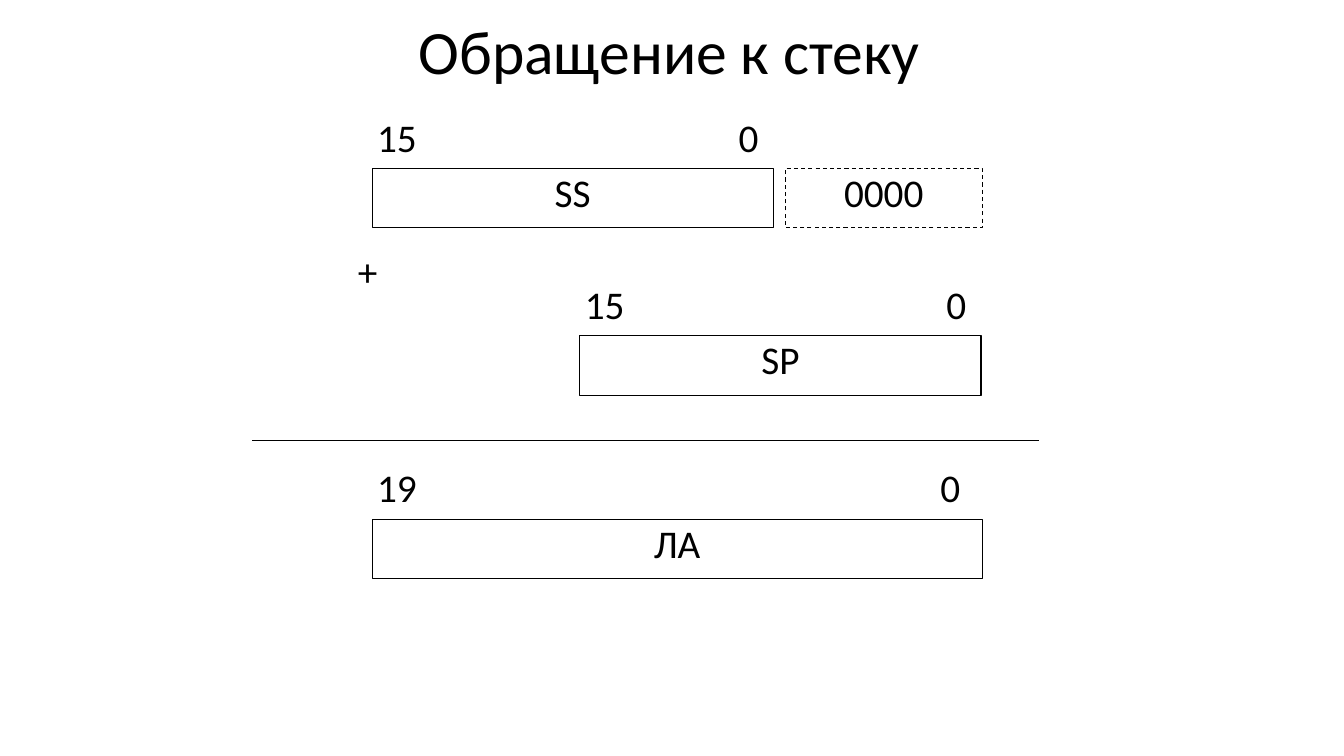
from pptx import Presentation
from pptx.dml.color import RGBColor
from pptx.enum.dml import MSO_LINE_DASH_STYLE as Dash
from pptx.enum.shapes import MSO_CONNECTOR as Connector, MSO_SHAPE as Shape
from pptx.enum.text import MSO_ANCHOR as Anchor, PP_ALIGN as Align
from pptx.oxml.ns import qn
from pptx.util import Inches, Pt

COLORS = {name: RGBColor.from_string(value) for name, value in {
    "ink": "000000",
    "paper": "FFFFFF",
}.items()}


def style_text(para, text, size, align):
    para.text = text
    para.alignment = align
    para.font.name = "Calibri"
    para.font.size = Pt(size)
    para.font.color.rgb = COLORS["ink"]


def add_box(page, text, left, top, width, height, align=Align.CENTER, outlined=False):
    box = page.shapes.add_shape(
        Shape.RECTANGLE, Inches(left), Inches(top), Inches(width), Inches(height))
    box.shadow.inherit = False
    box.fill.solid()
    box.fill.fore_color.rgb = COLORS["paper"]
    if outlined:
        box.line.color.rgb = COLORS["ink"]
        box.line.width = Pt(0.75)
    else:
        box.line.fill.background()
    frame = box.text_frame
    frame.word_wrap = True
    frame.vertical_anchor = Anchor.TOP
    frame.margin_left = frame.margin_top = frame.margin_right = frame.margin_bottom = 0
    style_text(frame.paragraphs[0], text, 28, align)
    return box


deck = Presentation()
deck.slide_width = Inches(13.33)
deck.slide_height = Inches(7.5)
page = deck.slides.add_slide(deck.slide_layouts[5])

title = page.shapes.title
title.left, title.top = Inches(2.14), Inches(0)
title.width, title.height = Inches(9), Inches(1.09)
title.text_frame.vertical_anchor = Anchor.MIDDLE
heading = title.text_frame.paragraphs[0]
style_text(heading, "Обращение к стеку", 44, Align.CENTER)
heading.line_spacing = 0.9

registers = [
    ("SS", 3.69, 1.67, 3.98, "15", 7.18),
    ("SP", 5.75, 3.33, 3.98, "15", 9.24),
    ("ЛА", 3.69, 5.15, 6.05, "19", 9.18),
]
for name, left, top, width, high_bit, zero_left in registers:
    add_box(page, name, left, top, width, 0.59, outlined=True)
    add_box(page, high_bit, left + 0.05, top - 0.55, 0.59, 0.48, Align.LEFT)
    add_box(page, "0", zero_left, top - 0.55, 0.49, 0.48)

shift = add_box(page, "0000", 7.79, 1.67, 1.95, 0.59, outlined=True)
shift.line.dash_style = Dash.DASH
add_box(page, "+", 3.55, 2.45, 0.3, 0.48, Align.LEFT)

sum_line = page.shapes.add_connector(
    Connector.STRAIGHT, Inches(2.5), Inches(4.37), Inches(10.31), Inches(4.37))
sum_line.line.color.rgb = COLORS["ink"]
sum_line.line.width = Pt(0.75)
properties = sum_line._element.spPr
properties.append(properties.makeelement(qn("a:effectLst"), {}))

deck.save("out.pptx")
